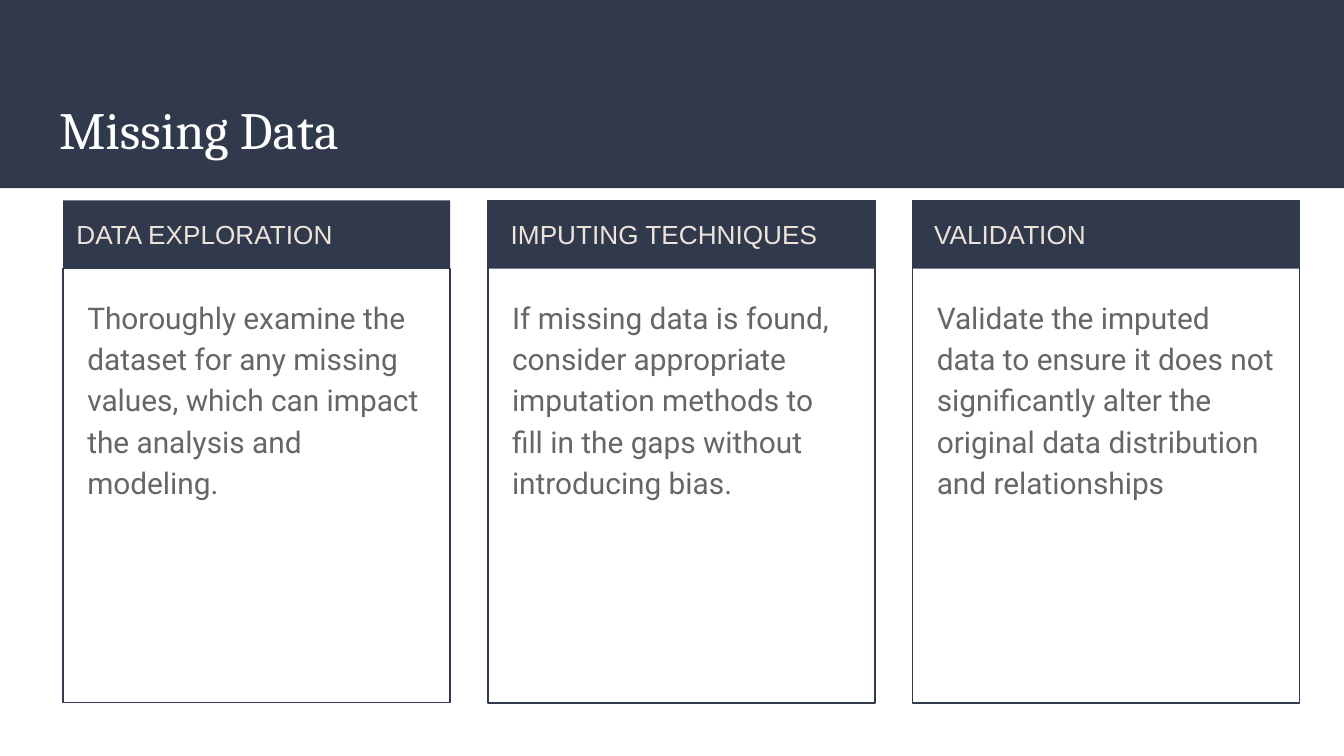
from lxml import etree
from pptx import Presentation
from pptx.dml.color import RGBColor
from pptx.enum.shapes import MSO_SHAPE
from pptx.enum.text import MSO_ANCHOR, MSO_AUTO_SIZE, PP_ALIGN
from pptx.oxml.ns import qn
from pptx.util import Inches, Pt

NAVY = RGBColor(0x31, 0x39, 0x4D)
WHITE = RGBColor(0xFF, 0xFF, 0xFF)
CREAM = RGBColor(0xED, 0xE3, 0xDA)
GRAY = RGBColor(0x66, 0x66, 0x66)
RECT = MSO_SHAPE.RECTANGLE
TOP, MIDDLE = MSO_ANCHOR.TOP, MSO_ANCHOR.MIDDLE
LEFT = PP_ALIGN.LEFT
NO_AUTOFIT = MSO_AUTO_SIZE.NONE
COMPARISON_LAYOUT = 4

TITLE_FONT = {"name": "Cambria", "size": Pt(28), "color": WHITE}
HEADING_FONT = {"name": "Arial", "size": Pt(14), "color": CREAM}
BODY_FONT = {"name": "Roboto", "size": Pt(16), "color": GRAY}

HEADER_H = 0.51
COLUMN_PITCH = 3.16

# Heading, heading inset, top of the outline within the column, body
COLUMNS = [
    ("DATA EXPLORATION", 0.1, HEADER_H,
     "Thoroughly examine the dataset for any missing values, which can impact "
     "the analysis and modeling."),
    ("IMPUTING TECHNIQUES", 0.17, 0,
     "If missing data is found, consider appropriate imputation methods to "
     "fill in the gaps without introducing bias."),
    ("VALIDATION", 0.16, 0,
     "Validate the imputed data to ensure it does not significantly alter the "
     "original data distribution and relationships"),
]


def place(sp, x, y, w, h):
    sp.left, sp.top, sp.width, sp.height = (Inches(v) for v in (x, y, w, h))


def write(sp, text, font, anchor=TOP, inset=0.1, spacing=1.0, after=0):
    tf = sp.text_frame
    frame_format = {
        "auto_size": NO_AUTOFIT, "word_wrap": True, "vertical_anchor": anchor,
        "margin_left": Inches(inset), "margin_right": Inches(0.1),
        "margin_top": Inches(0.1), "margin_bottom": Inches(0.1),
    }
    for name, value in frame_format.items():
        setattr(tf, name, value)

    p = tf.paragraphs[0]
    paragraph_format = {"alignment": LEFT, "line_spacing": spacing,
                        "space_before": Pt(0), "space_after": Pt(after)}
    for name, value in paragraph_format.items():
        setattr(p, name, value)
    pPr = p._p.get_or_add_pPr()
    pPr.set("marL", "0")
    pPr.set("indent", "0")
    etree.SubElement(pPr, qn("a:buNone"))

    r = p.add_run()
    r.text = text
    r.font.name, r.font.size, r.font.bold = font["name"], font["size"], False
    r.font.color.rgb = font["color"]


def add_rect(slide, x, y, w, h, fill=None, line=None):
    sp = slide.shapes.add_shape(RECT, *(Inches(v) for v in (x, y, w, h)))
    sp.shadow.inherit = False
    if fill is None:
        sp.fill.background()
    else:
        sp.fill.solid()
        sp.fill.fore_color.rgb = fill
    if line is None:
        sp.line.fill.background()
    else:
        sp.line.color.rgb = line
        sp.line.width = Pt(0.75)
    return sp


def add_title_band(slide, x, y, w, h):
    band = add_rect(slide, x, y, w, h, fill=NAVY)
    slide.shapes._spTree.insert(2, band._element)  # behind the title
    title = slide.shapes.title
    place(title, x + 0.34, y + 0.62, w - 0.68, 0.68)
    write(title, "Missing Data", TITLE_FONT)


def add_column(slide, body, column, x, y, w, h):
    heading, inset, frame_top, text = column
    # Outline and header bar
    add_rect(slide, x, y + frame_top, w, h - frame_top, line=NAVY)
    header = add_rect(slide, x, y, w, HEADER_H, fill=NAVY)
    write(header, heading, HEADING_FONT, anchor=MIDDLE, inset=inset)
    # Body text
    place(body, x + 0.08, y + 0.6, w - 0.17, h - 0.68)
    write(body, text, BODY_FONT, spacing=1.15, after=12)


def main():
    prs = Presentation()
    prs.slide_width = Inches(10)
    prs.slide_height = prs.slide_width * 9 // 16
    slide = prs.slides.add_slide(prs.slide_layouts[COMPARISON_LAYOUT])

    add_title_band(slide, 0, 0, 10, 1.4)

    bodies = [ph for ph in slide.placeholders
              if 1 <= ph.placeholder_format.idx <= len(COLUMNS)]
    for i, (body, column) in enumerate(zip(bodies, COLUMNS)):
        add_column(slide, body, column, 0.47 + i * COLUMN_PITCH, 1.49, 2.88, 3.74)

    # Remove unused placeholders
    for ph in list(slide.placeholders):
        if not ph.text_frame.text:
            ph._element.getparent().remove(ph._element)

    prs.save("out.pptx")


if __name__ == "__main__":
    main()
